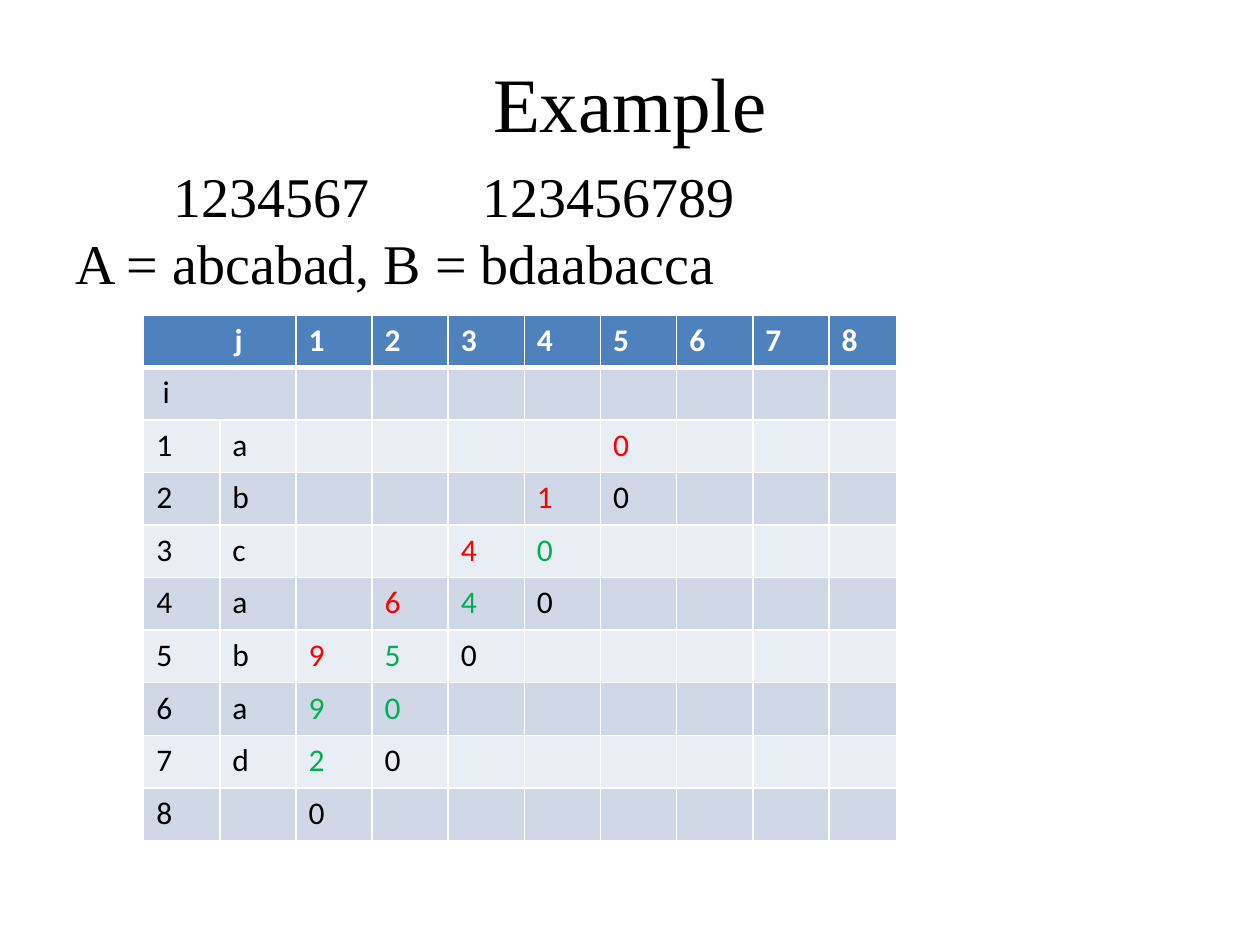
from dataclasses import dataclass
from lxml import etree
from pptx import Presentation
from pptx import util as u
from pptx.dml.color import RGBColor
from pptx.enum import text
from pptx.oxml.ns import qn


@dataclass(frozen=True)
class Theme:
    serif: str = "Times New Roman"
    sans: str = "Calibri"
    head: str = "4F81BD"
    bands: tuple = ("E9EDF4", "D0D8E8")
    white: str = "FFFFFF"
    ink: str = "000000"
    red: str = "FF0000"
    green: str = "00B050"
    title: int = 44
    body: int = 32
    cell: int = 18
    rule: int = 3


look = Theme()
title = "Example"
index = ["1234567", " ", "123456789"]
words = ["A = abcabad, B = bdaabacca"]
heads = ["j", "", "1", "2", "3", "4", "5", "6", "7", "8"]
rows = [
    ["i"],
    ["1", "a", "", "", "", "", "0"],
    ["2", "b", "", "", "", "1", "0"],
    ["3", "c", "", "", "4", "0"],
    ["4", "a", "", "6", "4", "0"],
    ["5", "b", "9", "5", "0"],
    ["6", "a", "9", "0"],
    ["7", "d", "2", "0"],
    ["8", "", "0"],
]
reds = {(2, 6), (3, 5), (4, 4), (5, 3), (6, 2)}
greens = {(4, 5), (5, 4), (6, 3), (7, 2), (7, 3), (8, 2)}
wide, last, high = 5.98, 0.54, 4.17


def style(para, face, size, color, bold=False):
    for run in para.runs:
        font = run.font
        font.name, font.size, font.bold = face, u.Pt(size), bold
        font.color.rgb = RGBColor.from_string(color)


def place(shape, *box):
    shape.left, shape.top, shape.width, shape.height = map(u.Inches, box)


def fill_line(para, parts, left):
    props = para._p.get_or_add_pPr()
    props.set("marL", str(u.Inches(left)))
    props.set("indent", "0")
    etree.SubElement(props, qn("a:buNone"))
    for part in parts:
        para.add_run().text = part
    para.space_before = u.Pt(0)
    style(para, look.serif, look.body, look.ink)


def underline(cell):
    line = etree.Element(qn("a:lnB"), w=str(u.Pt(look.rule)))
    paint = etree.SubElement(line, qn("a:solidFill"))
    etree.SubElement(paint, qn("a:srgbClr"), val=look.white)
    cell._tc.get_or_add_tcPr().insert(0, line)


def tint(row, col):
    if row == 0:
        return look.white
    if (row, col) in reds:
        return look.red
    return look.green if (row, col) in greens else look.ink


deck = Presentation()
deck.slide_width, deck.slide_height = u.Inches(10), u.Inches(7.5)
slide = deck.slides.add_slide(deck.slide_layouts[1])

top = slide.shapes.title
place(top, 0.5, 0.3, 9, 1.01)
top.text_frame.text = title
top.text_frame.vertical_anchor = text.MSO_ANCHOR.MIDDLE
top.text_frame.paragraphs[0].alignment = text.PP_ALIGN.CENTER
style(top.text_frame.paragraphs[0], look.serif, look.title, look.ink)

body = slide.placeholders[1]
place(body, 0.5, 1.23, 8.5, 5.27)
frame = body.text_frame
frame.auto_size = text.MSO_AUTO_SIZE.NONE
fill_line(frame.paragraphs[0], index, 0.78)
fill_line(frame.add_paragraph(), words, 0)
gap = frame.paragraphs[0].runs[1]
gap._r.get_or_add_rPr().set("spc", "5600")

cols, count = len(heads), len(rows) + 1
grid = slide.shapes.add_table(
    count, cols, *map(u.Inches, (1.14, 2.5, wide, high))).table
for num, col in enumerate(grid.columns):
    col.width = u.Inches(last if num == cols - 1 else (wide - last) / (cols - 1))
for row in grid.rows:
    row.height = u.Inches(high / count)

for r, line in enumerate([heads] + rows):
    for c in range(cols):
        cell = grid.cell(r, c)
        cell.fill.solid()
        fill = look.bands[r % 2] if r else look.head
        cell.fill.fore_color.rgb = RGBColor.from_string(fill)
        if r == 0:
            underline(cell)
        para = cell.text_frame.paragraphs[0]
        para.font.size = u.Pt(look.cell)
        if c < len(line) and line[c]:
            para.text = line[c]
            style(para, look.sans, look.cell, tint(r, c), r == 0)
for r in (0, 1):
    grid.cell(r, 0).merge(grid.cell(r, 1))

corner = grid.cell(0, 0)
corner.margin_left, corner.margin_right = u.Inches(0.3), 0
corner.text_frame.paragraphs[0].alignment = text.PP_ALIGN.CENTER
grid.cell(1, 0).margin_left = u.Inches(0.15)

deck.save("out.pptx")
